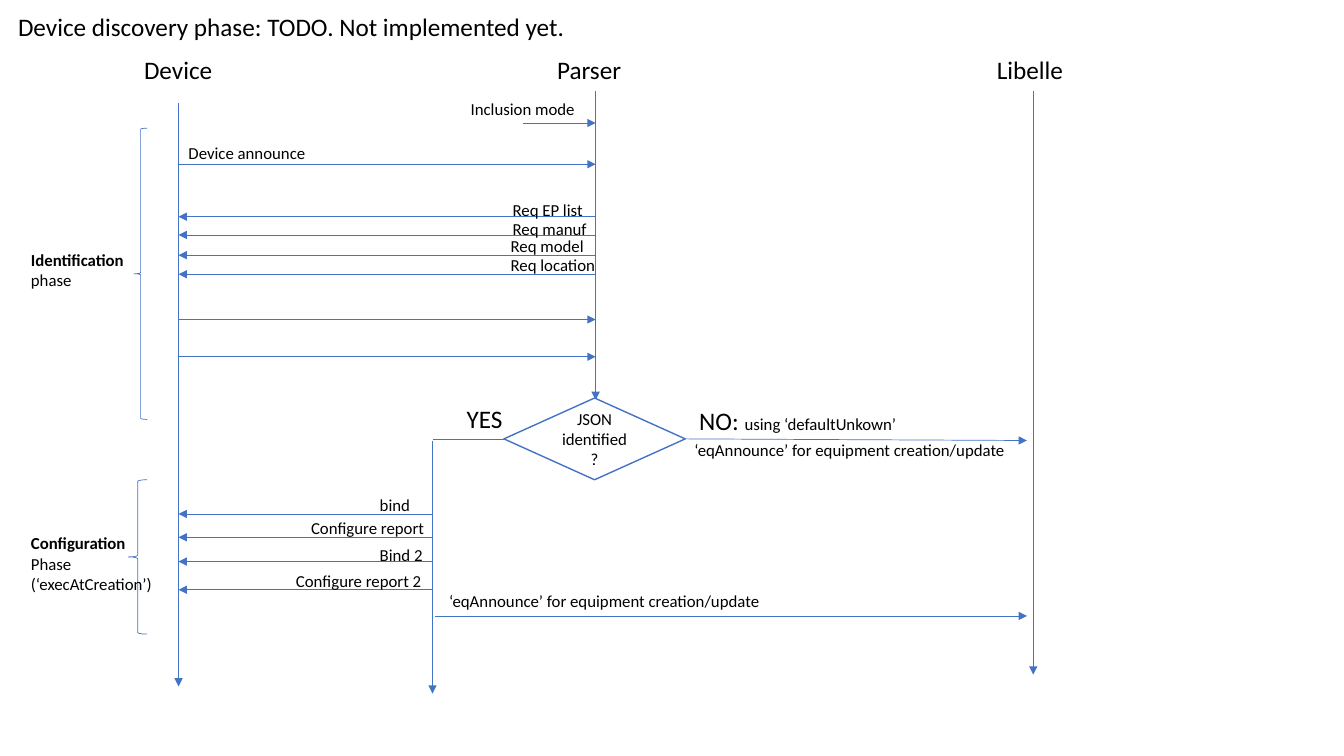
import dataclasses

import pptx
import pptx.dml.color
import pptx.enum.shapes
import pptx.enum.text
import pptx.oxml
import pptx.oxml.ns
import pptx.util

Cm = pptx.util.Cm
SHAPE = pptx.enum.shapes.MSO_SHAPE
ALIGN = pptx.enum.text.PP_ALIGN
ANCHOR = pptx.enum.text.MSO_ANCHOR


@dataclasses.dataclass(frozen=True)
class Theme:
    """Colours, font and sizes used on the slide."""
    font: str = "Calibri"
    ink: str = "000000"
    paper: str = "FFFFFF"
    blue: str = "4472C4"
    large: int = 18
    small: int = 12
    thin: float = 0.5
    outline: float = 1


THEME = Theme()

# Horizontal places of the lifelines, in centimetres
DEVICE, CONFIG, PARSER, LIBELLE = 4.5, 10.9, 15.01, 26.04
LIBELLE_STOP = 25.88
DECISION_LEFT, DECISION_TOP, DECISION_W, DECISION_H = 12.7, 10.03, 4.57, 2.06
DECISION_MID = DECISION_TOP + DECISION_H / 2
EQ_ANNOUNCE = "‘eqAnnounce’ for equipment creation/update"

# Name, left, width
HEADERS = [
    ("Parser", 13.79, 2.13),
    ("Device", 3.38, 2.26),
    ("Libelle", 24.87, 2.31),
]

# Lifeline x, top, bottom
LIFELINES = [
    (DEVICE, 2.59, 17.3),
    (PARSER, 2.29, 10.08),
    (LIBELLE, 2.29, 17),
    (CONFIG, 11.1, 17.48),
]

# Start x, end x, y of the arrow; then label, its left, top and width
MESSAGES = [
    (13.18, PARSER, 3.1, "Inclusion mode", 11.61, 2.36, 3.18),
    (DEVICE, PARSER, 4.14, "Device announce", 4.5, 3.48, 3.48),
    (PARSER, DEVICE, 5.46, "Req EP list", 12.67, 4.9, 2.31),
    (PARSER, DEVICE, 5.92, "Req manuf", 12.67, 5.38, 2.39),
    (PARSER, DEVICE, 6.43, "Req model", 12.62, 5.82, 2.39),
    (PARSER, DEVICE, 6.91, "Req location", 12.62, 6.3, 2.67),
    (DEVICE, PARSER, 8.05, None, 0, 0, 0),
    (DEVICE, PARSER, 8.99, None, 0, 0, 0),
    (CONFIG, DEVICE, 12.95, "bind", 9.32, 12.34, 1.27),
    (CONFIG, DEVICE, 13.54, "Configure report", 7.59, 12.93, 3.38),
    (CONFIG, DEVICE, 14.15, "Bind 2", 9.32, 13.61, 1.6),
    (CONFIG, DEVICE, 14.86, "Configure report 2", 7.21, 14.25, 3.71),
    (10.97, LIBELLE_STOP, 15.52, EQ_ANNOUNCE, 11.07, 14.76, 8.41),
]

# Brace left, top, width, height; then label lines, top, width and height
PHASES = [
    ((3.38, 3.23, 0.33, 7.34), ["Identification", "phase"], 6.17, 2.9, 1.27),
    ((3.23, 12.09, 0.48, 3.89),
     ["Configuration", "Phase", "(‘execAtCreation’)"], 13.31, 3.61, 1.8),
]


def rgb(value):
    """Turn a hex string into a colour."""
    return pptx.dml.color.RGBColor.from_string(value)


def add_run(p, text, size=THEME.small, bold=False):
    """Append a formatted run to a paragraph."""
    r = p.add_run()
    r.text = text
    r.font.name = THEME.font
    r.font.size = pptx.util.Pt(size)
    r.font.bold = bold
    r.font.color.rgb = rgb(THEME.ink)


def write(tf, lines, size=THEME.small, bold_first=False, align=ALIGN.LEFT):
    """Fill a text frame, one paragraph per line."""
    for i, line in enumerate(lines):
        p = tf.add_paragraph() if i else tf.paragraphs[0]
        p.alignment = align
        add_run(p, line, size, bold_first and i == 0)


def add_label(s, lines, left, top, width, height=0.76, **fmt):
    """Add an unwrapped text box and return its text frame."""
    sp = s.shapes.add_textbox(Cm(left), Cm(top), Cm(width), Cm(height))
    tf = sp.text_frame
    tf.word_wrap = False
    tf.auto_size = pptx.enum.text.MSO_AUTO_SIZE.SHAPE_TO_FIT_TEXT
    write(tf, lines, **fmt)
    return tf


def add_line(s, x1, y1, x2, y2, arrow=True):
    """Add a thin straight line, with an arrowhead at its end by default."""
    sp = s.shapes.add_connector(pptx.enum.shapes.MSO_CONNECTOR.STRAIGHT,
                                Cm(x1), Cm(y1), Cm(x2), Cm(y2))
    sp.line.color.rgb = rgb(THEME.blue)
    sp.line.width = pptx.util.Pt(THEME.thin)
    if arrow:
        head = pptx.oxml.parse_xml(
            f'<a:tailEnd {pptx.oxml.ns.nsdecls("a")} type="triangle"/>')
        sp.line._get_or_add_ln().append(head)
    sp._element.spPr.append(pptx.oxml.parse_xml(
        f'<a:effectLst {pptx.oxml.ns.nsdecls("a")}/>'))


def add_outline(s, kind, left, top, width, height, line=THEME.thin, fill=None):
    """Add a preset shape with a blue outline."""
    sp = s.shapes.add_shape(kind, Cm(left), Cm(top), Cm(width), Cm(height))
    sp.shadow.inherit = False
    sp.line.color.rgb = rgb(THEME.blue)
    sp.line.width = pptx.util.Pt(line)
    if fill:
        sp.fill.solid()
        sp.fill.fore_color.rgb = rgb(fill)
    else:
        sp.fill.background()
    return sp


def set_title(s, text):
    """Place and format the title placeholder."""
    sp = s.shapes.title
    sp.left, sp.top, sp.width, sp.height = Cm(0.2), Cm(0.15), Cm(14.45), Cm(1.02)
    tf = sp.text_frame
    tf.word_wrap = False
    tf.auto_size = pptx.enum.text.MSO_AUTO_SIZE.NONE
    tf.vertical_anchor = ANCHOR.TOP
    write(tf, [text], size=THEME.large)


def add_decision(s):
    """Add the JSON decision with its YES and NO branches."""
    sp = add_outline(s, SHAPE.FLOWCHART_DECISION, DECISION_LEFT, DECISION_TOP,
                     DECISION_W, DECISION_H, THEME.outline, THEME.paper)
    sp.text_frame.word_wrap = True
    sp.text_frame.vertical_anchor = ANCHOR.MIDDLE
    write(sp.text_frame, ["JSON", "identified ?"], align=ALIGN.CENTER)

    add_line(s, DECISION_LEFT, DECISION_MID, CONFIG, DECISION_MID, arrow=False)
    add_label(s, ["YES"], 11.51, 10.03, 1.42, 1.02, size=THEME.large)

    add_line(s, DECISION_LEFT + DECISION_W, DECISION_MID, LIBELLE_STOP, 11.1)
    tf = add_label(s, ["NO: "], 17.37, 10.08, 5.54, 1.02, size=THEME.large)
    add_run(tf.paragraphs[0], "using ‘defaultUnkown’")
    add_label(s, [EQ_ANNOUNCE], 17.25, 10.95, 8.41)


def main():
    """Build the sequence diagram and save it."""
    prs = pptx.Presentation()
    prs.slide_width, prs.slide_height = Cm(33.87), Cm(19.05)
    s = prs.slides.add_slide(prs.slide_layouts.get_by_name("Title Only"))
    set_title(s, "Device discovery phase: TODO. Not implemented yet.")

    for name, left, width in HEADERS:
        add_label(s, [name], left, 1.24, width, 1.02, size=THEME.large)
    for x, top, bottom in LIFELINES:
        add_line(s, x, top, x, bottom)
    for start, end, y, text, left, top, width in MESSAGES:
        add_line(s, start, y, end, y)
        if text:
            add_label(s, [text], left, top, width)
    add_decision(s)
    for brace, lines, top, width, height in PHASES:
        add_outline(s, SHAPE.LEFT_BRACE, *brace)
        add_label(s, lines, 0.53, top, width, height, bold_first=True)

    prs.save("out.pptx")


main()
